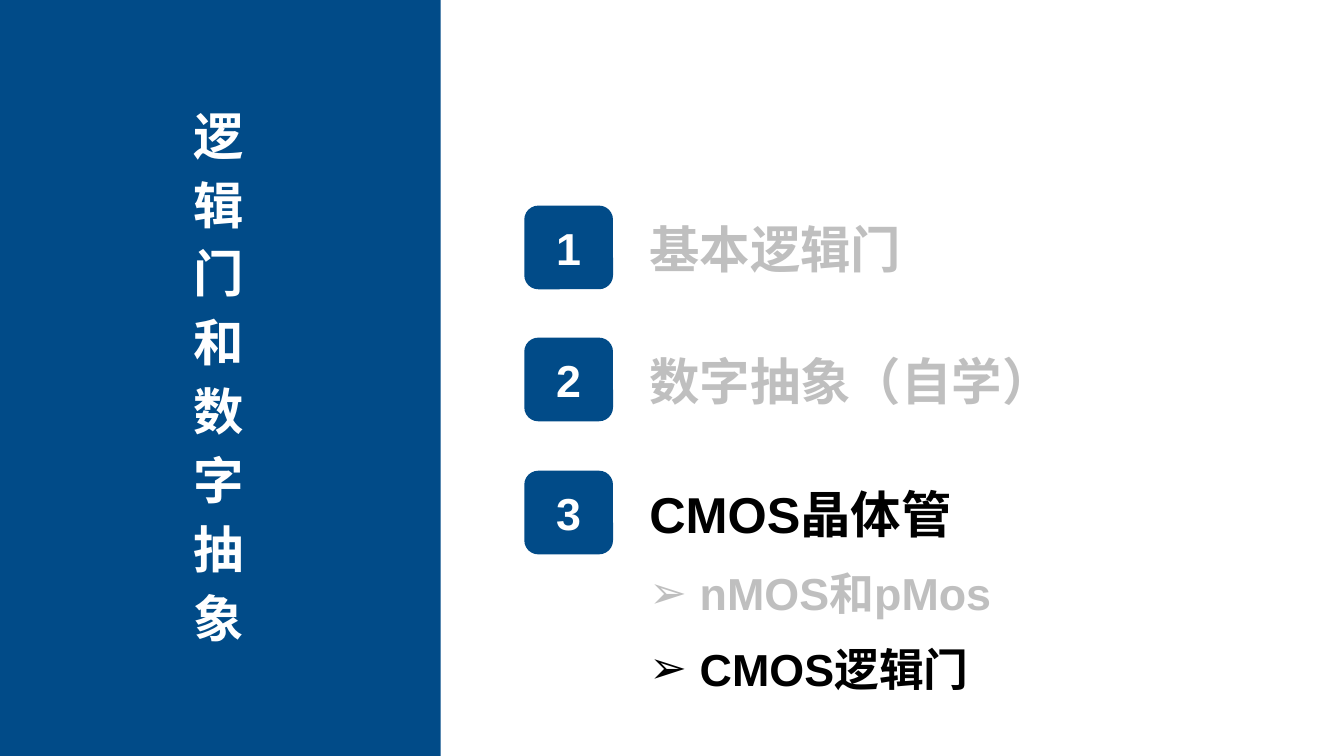
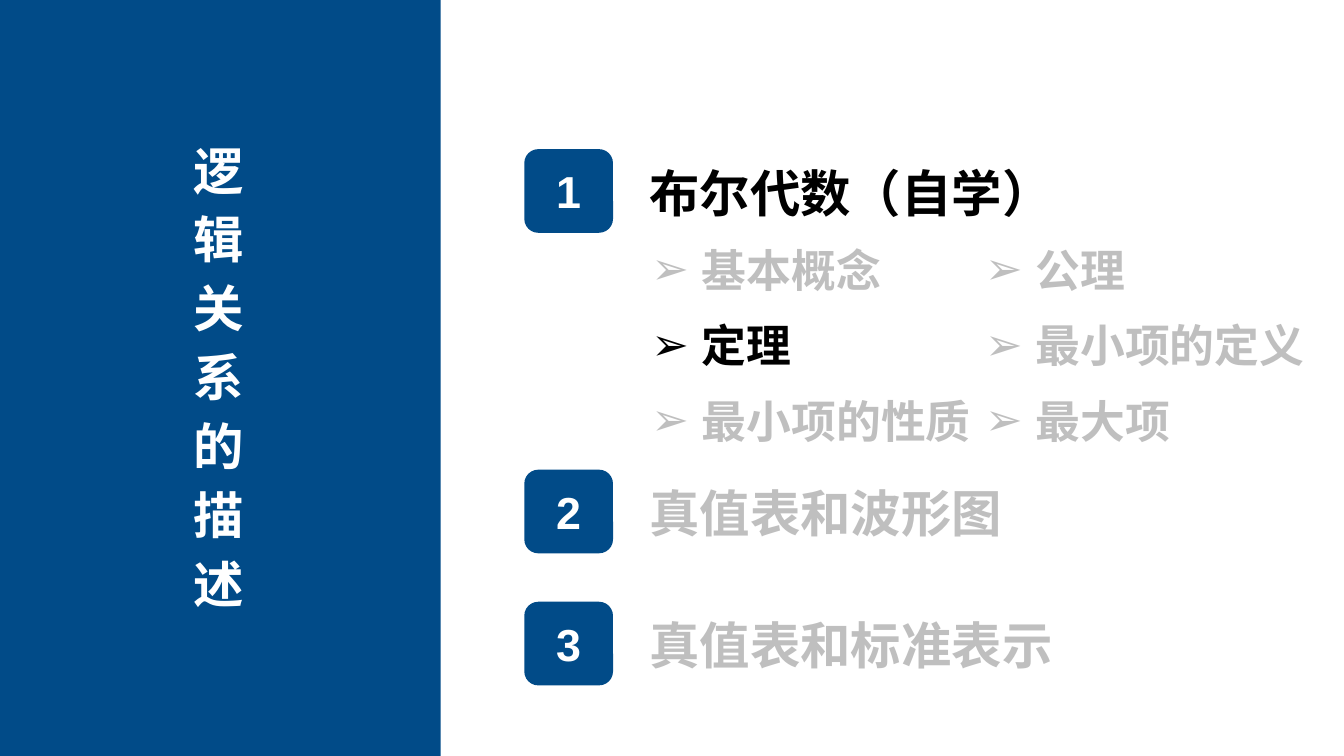
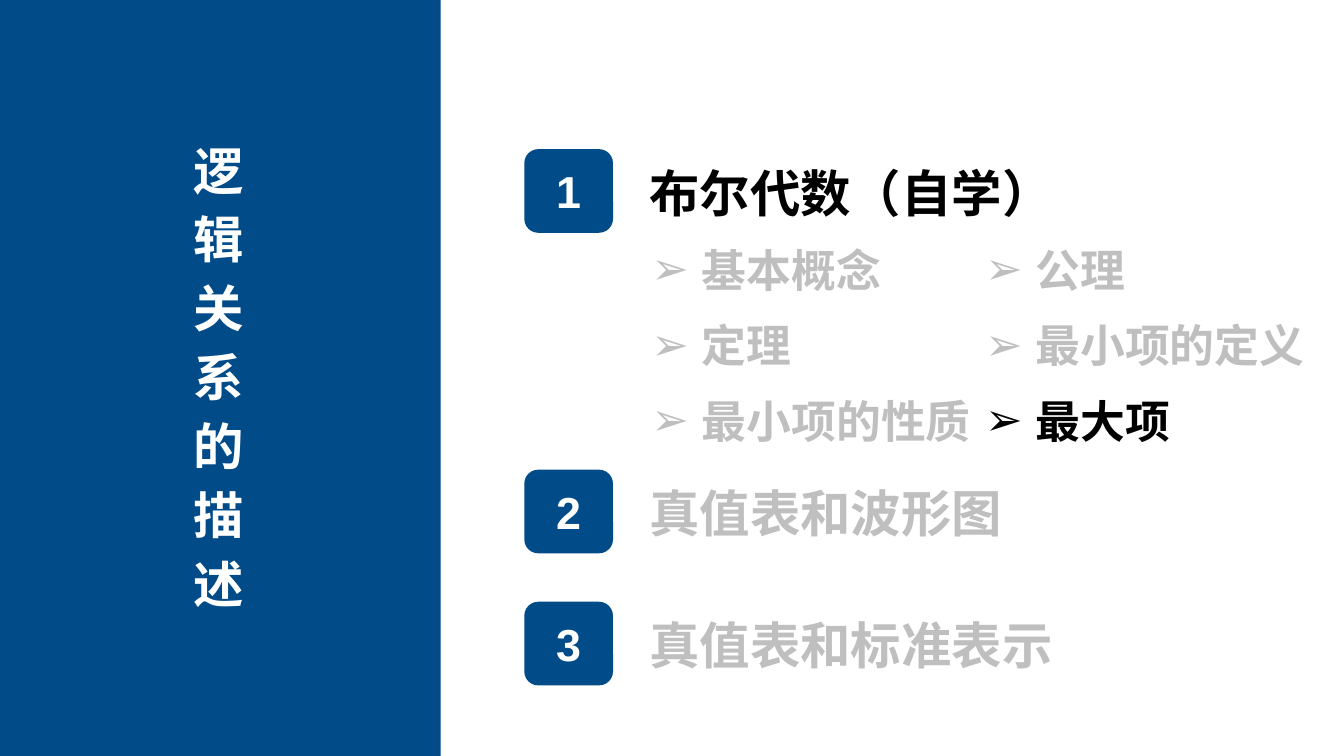
from dataclasses import dataclass
from lxml.etree import SubElement
from pptx import Presentation
from pptx.dml.color import RGBColor
from pptx.enum.lang import MSO_LANGUAGE_ID
from pptx.enum.shapes import MSO_SHAPE
from pptx.enum.text import MSO_ANCHOR, PP_ALIGN
from pptx.oxml.ns import qn
from pptx.util import Inches, Pt


@dataclass(frozen=True)
class Theme:
    font: str = "Arial"
    blue: str = "014B88"
    white: str = "FFFFFF"
    gray: str = "BFBFBF"
    black: str = "000000"
    large: int = 36
    small: int = 32


class Deck:
    """Draws agenda slides in one shared style."""

    def __init__(self, theme):
        self.theme = theme
        self.file = Presentation()
        self.file.slide_width = Inches(13.33)
        self.file.slide_height = Inches(7.5)
        self.slide = None

    def add(self, title):
        self.slide = self.file.slides.add_slide(self.file.slide_layouts[6])
        self.block(MSO_SHAPE.RECTANGLE, 0, 0, 4.37, 7.5)
        self.title(title)

    def block(self, kind, x, y, w, h):
        shape = self.slide.shapes.add_shape(kind, Inches(x), Inches(y), Inches(w), Inches(h))
        shape.shadow.inherit = False
        shape.fill.solid()
        shape.fill.fore_color.rgb = RGBColor.from_string(self.theme.blue)
        shape.line.fill.background()
        return shape

    def style(self, para, size, color):
        for run in para.runs:
            font = run.font
            font.name = self.theme.font
            font.size = Pt(size)
            font.bold = True
            font.color.rgb = RGBColor.from_string(color)
            font.language_id = MSO_LANGUAGE_ID.SIMPLIFIED_CHINESE

    def text(self, text, x, y, w, h, anchor=MSO_ANCHOR.MIDDLE):
        box = self.slide.shapes.add_textbox(Inches(x), Inches(y), Inches(w), Inches(h))
        frame = box.text_frame
        frame.word_wrap = True
        frame.vertical_anchor = anchor
        frame.margin_left = frame.margin_right = 0
        frame.margin_top = frame.margin_bottom = 0
        frame.text = text
        return frame.paragraphs

    def title(self, title):
        high = 0.69 * len(title) - 0.08
        top = 3.76 - high / 2
        for para in self.text("\n".join(title), 1.13, top, 2.08, high, MSO_ANCHOR.TOP):
            para.alignment = PP_ALIGN.CENTER
            para.space_after = Pt(6)
            self.style(para, self.theme.large, self.theme.white)

    def tone(self, live):
        return self.theme.black if live else self.theme.gray

    def badge(self, label, y):
        frame = self.block(MSO_SHAPE.ROUNDED_RECTANGLE, 5.2, y, 0.88, 0.83).text_frame
        frame.vertical_anchor = MSO_ANCHOR.MIDDLE
        frame.margin_left = frame.margin_right = Inches(0.08)
        frame.text = label
        para = frame.paragraphs[0]
        para.alignment = PP_ALIGN.CENTER
        self.style(para, self.theme.small, self.theme.white)

    def heads(self, names, tops, live):
        widths = (5.56, 4.72, 5.19)
        for num, (name, y, w) in enumerate(zip(names, tops, widths), 1):
            self.badge(str(num), y)
            para = self.text(name, 6.44, y + 0.12, w, 0.61)[0]
            self.style(para, self.theme.large, self.tone(num == live))

    def point(self, name, x, y, w, live):
        para = self.text(name, x, y, w, 0.54)[0]
        props = para._p.get_or_add_pPr()
        props.set("marL", str(Inches(0.5)))
        props.set("indent", str(-Inches(0.5)))
        SubElement(props, qn("a:buFont"), typeface=self.theme.font)
        SubElement(props, qn("a:buChar"), char="➢")
        self.style(para, self.theme.small, self.tone(live))

    def points(self, items, x, y, cols, live):
        for num, (name, w) in enumerate(items):
            row, col = divmod(num, cols)
            self.point(name, x + 3.31 * col, y + 0.75 * row, w, name == live)


def main():
    deck = Deck(Theme())

    deck.add("逻辑门和数字抽象")
    deck.heads(("基本逻辑门", "数字抽象（自学）", "CMOS晶体管"), (2.04, 3.35, 4.67), 3)
    gates = (("nMOS和pMos", 4.24), ("CMOS逻辑门", 3.64))
    deck.points(gates, 6.44, 5.61, 1, "CMOS逻辑门")

    topics = (
        ("基本概念", 2.5), ("公理", 1.67),
        ("定理", 2.5), ("最小项的定义", 3.19),
        ("最小项的性质", 3.19), ("最大项", 3.19),
    )
    names = ("布尔代数（自学）", "真值表和波形图", "真值表和标准表示")
    for live in ("定理", "最大项"):
        deck.add("逻辑关系的描述")
        deck.heads(names, (1.48, 4.66, 5.97), 1)
        deck.points(topics, 6.46, 2.4, 2, live)

    deck.file.save("out.pptx")


if __name__ == "__main__":
    main()
